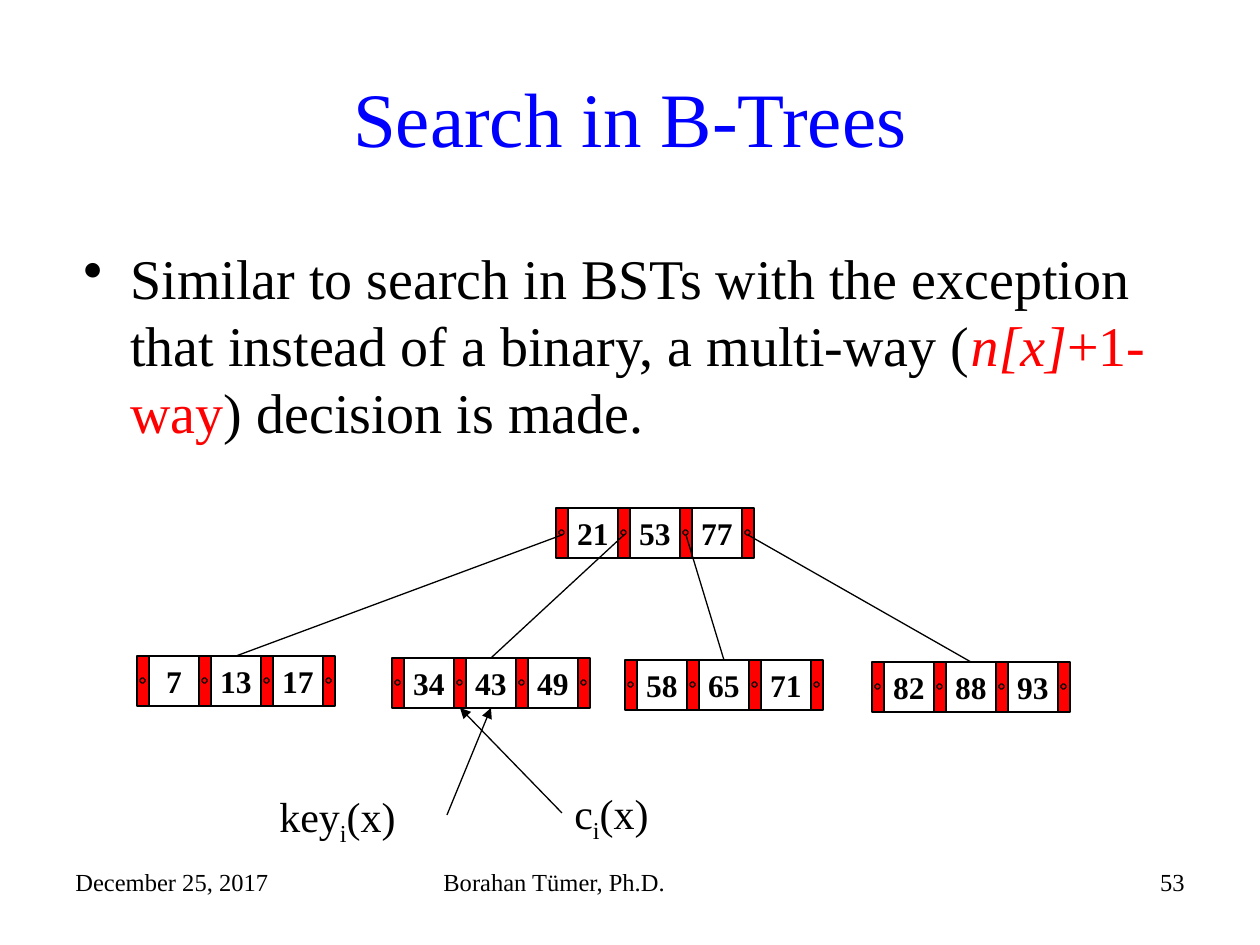
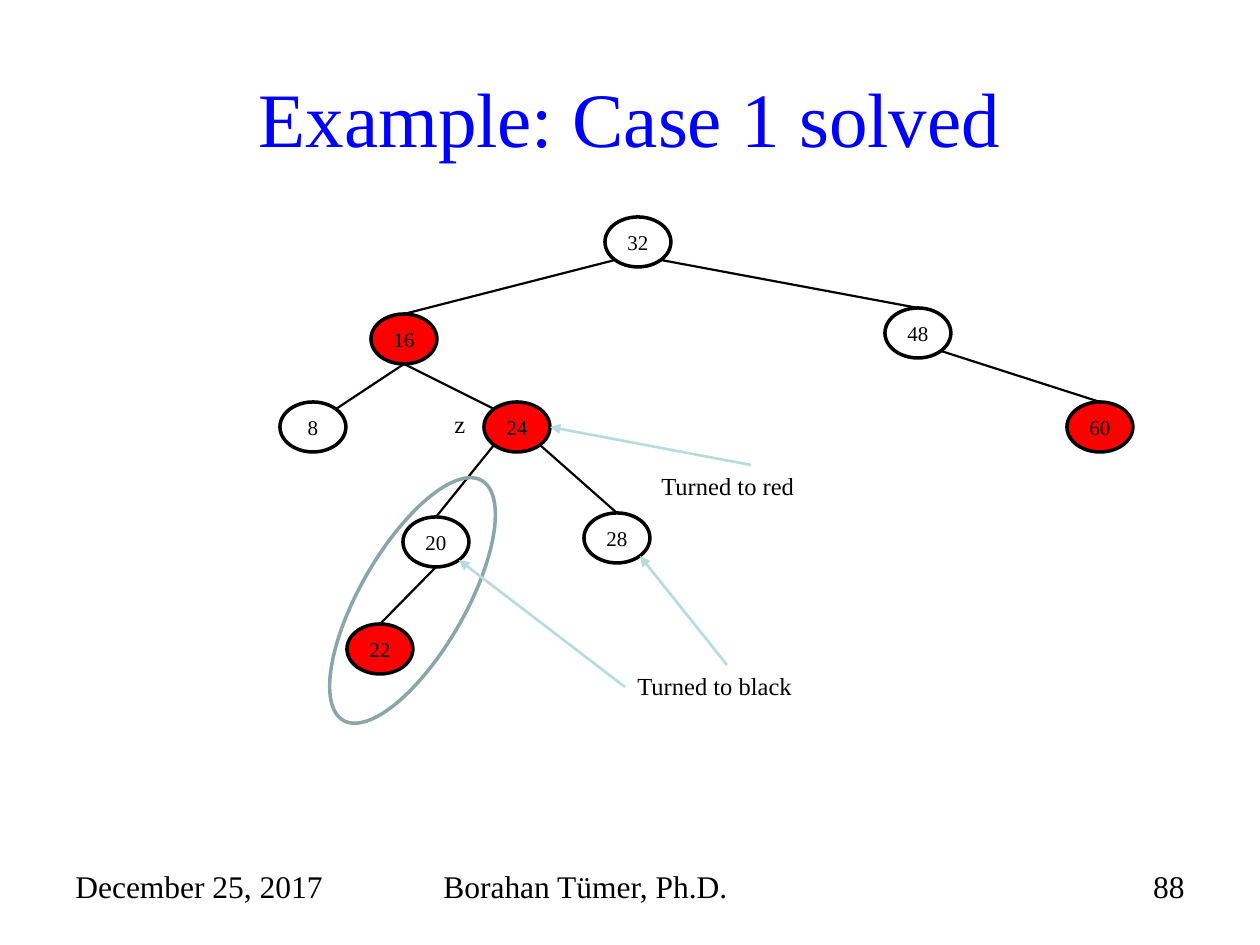
"""Build two slides on B-tree search and red-black tree recolouring."""

from dataclasses import dataclass

from lxml import etree
from pptx import Presentation
from pptx.dml.color import RGBColor
from pptx.enum.shapes import MSO_CONNECTOR, MSO_SHAPE
from pptx.enum.text import MSO_ANCHOR, PP_ALIGN
from pptx.oxml.ns import qn
from pptx.util import Emu, Pt

RECTANGLE, ELLIPSE, OCTAGON = MSO_SHAPE.RECTANGLE, MSO_SHAPE.OVAL, MSO_SHAPE.OCTAGON
STRAIGHT = MSO_CONNECTOR.STRAIGHT
LEFT, CENTER, RIGHT = PP_ALIGN.LEFT, PP_ALIGN.CENTER, PP_ALIGN.RIGHT
TOP, MIDDLE = MSO_ANCHOR.TOP, MSO_ANCHOR.MIDDLE

EMU_PER_PX = 914400 / 126
TOP_SITE, BOTTOM_SITE = 0, 2

CELL, STRIP, DOT = 50, 12, 5
PITCH = CELL + STRIP
NODE_WIDTH, NODE_HEIGHT = 66, 50
DIAGONAL = 0.71
COMPASS = {
    "N": (0, -1), "E": (1, 0), "S": (0, 1),
    "NE": (DIAGONAL, -DIAGONAL), "NW": (-DIAGONAL, -DIAGONAL),
    "SE": (DIAGONAL, DIAGONAL), "SW": (-DIAGONAL, DIAGONAL),
}


@dataclass(frozen=True)
class Theme:
    font: str = "Times New Roman"
    black: str = "000000"
    blue: str = "0000FF"
    red: str = "FF0000"
    pale: str = "B6DCDF"
    teal: str = "8AA6A8"
    title: int = 44
    body: int = 32
    label: int = 24
    key: int = 18
    note: int = 14
    node: int = 12
    thin: float = 0.75
    edge: float = 1.25
    arrow: float = 1.5
    thick: float = 2


def px(length):
    return Emu(round(length * EMU_PER_PX))


class Deck:
    def __init__(self, theme):
        self.theme = theme
        self.presentation = Presentation()
        self.presentation.slide_width = px(1260)
        self.presentation.slide_height = px(945)
        self.slide = None

    def add_slide(self, title, number, footer_size):
        self.slide = self.presentation.slides.add_slide(self.presentation.slide_layouts[6])
        self.text((63, 38, 1134, 157), [(title, {})], self.theme.title,
                  color=self.theme.blue, alignment=CENTER, anchor=MIDDLE)
        footers = [
            (63, 294, "December 25, 2017", LEFT),
            (431, 399, "Borahan Tümer, Ph.D.", LEFT),
            (903, 294, str(number), RIGHT),
        ]
        for left, width, words, alignment in footers:
            self.text((left, 861, width, 65), [(words, {})], footer_size, alignment=alignment)

    def add_runs(self, paragraph, runs, base):
        for words, changes in runs:
            run = paragraph.add_run()
            run.text = words
            formats = {"name": self.theme.font, "color": self.theme.black, **base, **changes}
            run.font.color.rgb = RGBColor.from_string(formats.pop("color"))
            baseline = formats.pop("baseline", None)
            if baseline:
                run._r.get_or_add_rPr().set("baseline", str(baseline))
            for name, value in formats.items():
                setattr(run.font, name, value)

    def text(self, box, runs, size, color=None, alignment=LEFT, anchor=TOP):
        shape = self.slide.shapes.add_textbox(*map(px, box))
        frame = shape.text_frame
        frame.word_wrap = True
        frame.vertical_anchor = anchor
        paragraph = frame.paragraphs[0]
        paragraph.alignment = alignment
        self.add_runs(paragraph, runs, {"size": Pt(size), "color": color or self.theme.black})
        return paragraph

    def bullet(self, box, runs):
        paragraph = self.text(box, runs, self.theme.body)
        properties = paragraph._p.get_or_add_pPr()
        properties.set("marL", str(px(47)))
        properties.set("indent", str(-px(47)))
        etree.SubElement(properties, qn("a:buChar")).set("char", "•")

    def outline(self, line, color, width):
        line.color.rgb = RGBColor.from_string(color)
        line.width = Pt(width)

    def shape(self, kind, box, fill=None, color=None, width=None, words=None, **font):
        shape = self.slide.shapes.add_shape(kind, *map(px, box))
        shape.shadow.inherit = False
        if fill:
            shape.fill.solid()
            shape.fill.fore_color.rgb = RGBColor.from_string(fill)
        else:
            shape.fill.background()
        self.outline(shape.line, color or self.theme.black, width or self.theme.thin)
        if words:
            frame = shape.text_frame
            settings = {"margin_left": 0, "margin_right": 0, "margin_top": 0,
                        "margin_bottom": 0, "word_wrap": False, "vertical_anchor": MIDDLE}
            for name, value in settings.items():
                setattr(frame, name, value)
            paragraph = frame.paragraphs[0]
            paragraph.alignment = CENTER
            self.add_runs(paragraph, [(words, {})], font)
        return shape

    def line(self, start, end, width, color=None, arrow=False, target=None, site=TOP_SITE):
        connector = self.slide.shapes.add_connector(STRAIGHT, *map(px, (*start, *end)))
        if target is not None:
            connector.end_connect(target, site)
        self.outline(connector.line, color or self.theme.black, width)
        properties = connector._element.spPr
        if arrow:
            line = properties.find(qn("a:ln"))
            etree.SubElement(line, qn("a:tailEnd")).set("type", "triangle")
        etree.SubElement(properties, qn("a:effectLst"))

    def key_block(self, left, top, keys):
        cells = [
            self.shape(RECTANGLE, (left + STRIP + index * PITCH, top, CELL, CELL),
                       words=str(key), size=Pt(self.theme.key), bold=True)
            for index, key in enumerate(keys)
        ]
        strips = []
        for index in range(len(keys) + 1):
            strip_left = left + index * PITCH
            strips.append(self.shape(RECTANGLE, (strip_left, top, STRIP, CELL), self.theme.red))
            dot = self.shape(OCTAGON, (strip_left + 3, top + 22, DOT, DOT), self.theme.red)
            dot.adjustments[0] = 0.35
        return cells, strips

    def tree_node(self, key, left, top, fill):
        return self.shape(ELLIPSE, (left, top, NODE_WIDTH, NODE_HEIGHT), fill,
                          width=self.theme.thick, words=str(key), size=Pt(self.theme.node))

    def save(self):
        self.presentation.save("out.pptx")


def subscripted(name):
    return [(name, {}), ("i", {"baseline": -25000}), ("(x)", {})]


def build_search_slide(deck):
    theme = deck.theme
    deck.add_slide("Search in B-Trees", 53, theme.note)
    deck.bullet((71, 237, 1126, 236), [
        ("Similar to search in BSTs with the exception that instead of a binary, "
         "a multi-way (", {}),
        ("n[x]", {"color": theme.red, "italic": True}),
        ("+1-way", {"color": theme.red}),
        (") decision is made.", {}),
    ])

    root_left, root_top = 556, 508
    deck.key_block(root_left, root_top, (21, 53, 77))
    children = [
        (137, 656, (7, 13, 17)),
        (392, 658, (34, 43, 49)),
        (625, 660, (58, 65, 71)),
        (872, 662, (82, 88, 93)),
    ]
    blocks = []
    for index, (left, top, keys) in enumerate(children):
        cells, strips = deck.key_block(left, top, keys)
        blocks.append((cells, strips))
        pointer = (root_left + STRIP // 2 + index * PITCH, root_top + 27)
        deck.line(pointer, (left, top), theme.thin, target=cells[1])

    cells, strips = blocks[1]
    callouts = [
        ("key", (267, 784, 179, 63), (447, 815), cells[1]),
        ("c", (562, 781, 141, 63), (562, 813), strips[1]),
    ]
    for name, box, start, target in callouts:
        deck.text(box, subscripted(name), theme.label)
        deck.line(start, start, theme.thin, arrow=True, target=target, site=BOTTOM_SITE)


def build_recolour_slide(deck):
    theme = deck.theme
    deck.add_slide("Example: Case 1 solved", 88, theme.key)
    places = {
        32: (605, 217), 16: (371, 314), 48: (885, 308), 8: (280, 402), 24: (484, 402),
        60: (1067, 402), 20: (403, 517), 28: (584, 513), 22: (347, 624),
    }
    red_keys = {16, 24, 60, 22}
    nodes = {
        key: deck.tree_node(key, *place, theme.red if key in red_keys else None)
        for key, place in places.items()
    }

    def point(key, side):
        left, top = places[key]
        across, down = COMPASS[side]
        return (round(left + NODE_WIDTH / 2 * (1 + across)),
                round(top + NODE_HEIGHT / 2 * (1 + down)))

    edges = [
        (32, "SW", 16, "N"), (32, "SE", 48, "N"), (16, "S", 8, "NE"), (16, "S", 24, "NW"),
        (48, "SE", 60, "N"), (24, "SW", 20, "N"), (24, "SE", 28, "N"), (20, "S", 22, "N"),
    ]
    for parent, parent_side, child, child_side in edges:
        deck.line(point(parent, parent_side), point(child, child_side), theme.edge,
                  target=nodes[child] if child_side == "N" else None)

    highlight = deck.shape(ELLIPSE, (360, 462, 105, 277), color=theme.teal, width=theme.thick)
    highlight.rotation = 30

    notes = [("z", 442, 403, 66), ("Turned to black", 625, 665, 204),
             ("Turned to red", 649, 465, 204)]
    for words, left, top, width in notes:
        deck.text((left, top, width, 43), [(words, {})], theme.note)
    for start, key, side in [((625, 687), 20, "SE"), ((727, 665), 28, "SE"),
                             ((751, 465), 24, "E")]:
        deck.line(start, point(key, side), theme.arrow, theme.pale, arrow=True)


def main():
    deck = Deck(Theme())
    build_search_slide(deck)
    build_recolour_slide(deck)
    deck.save()


if __name__ == "__main__":
    main()
